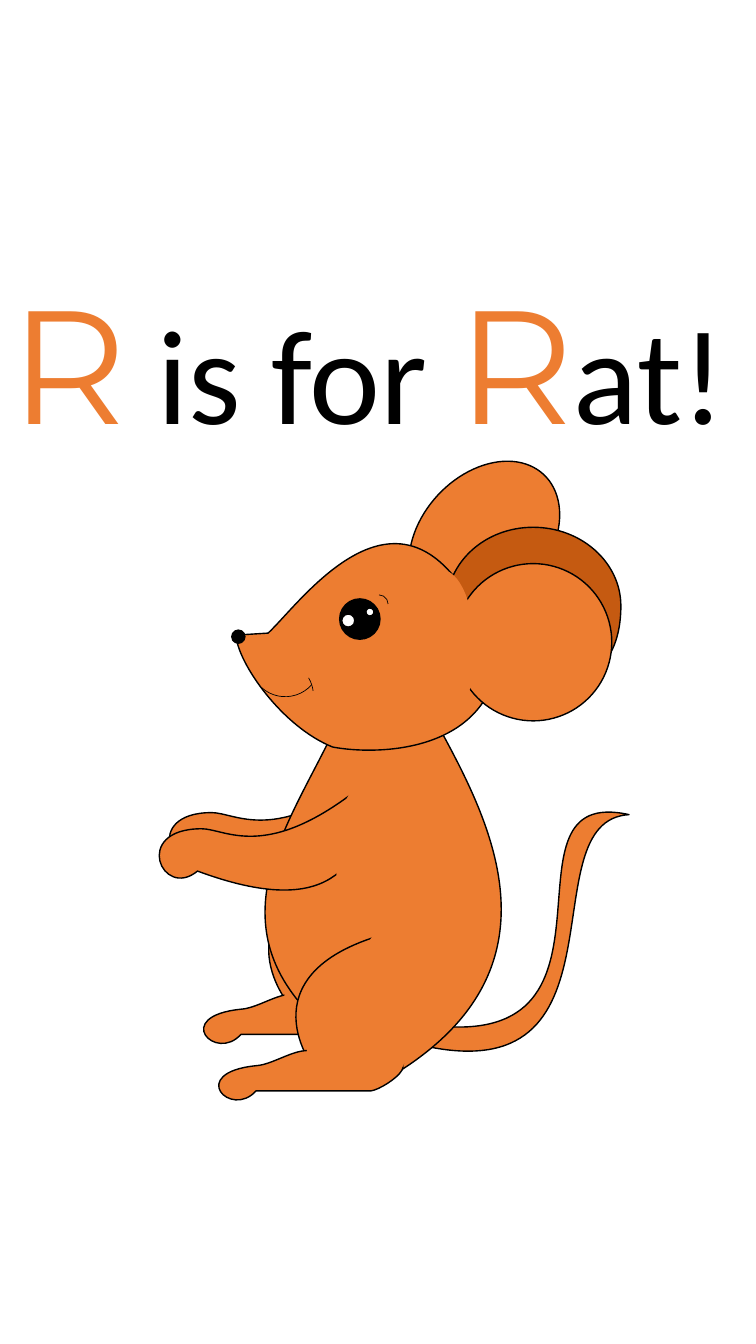
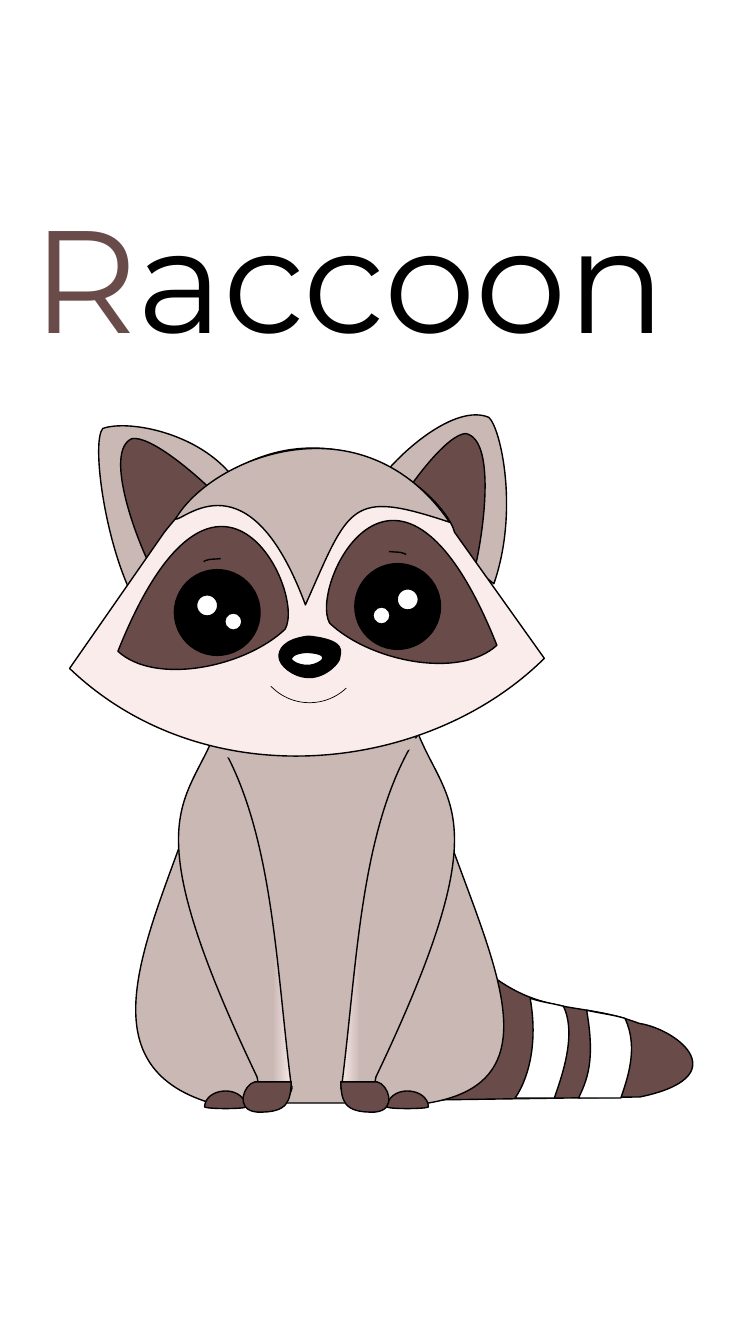
from dataclasses import dataclass, replace
from typing import Optional, Union

from lxml import etree
from pptx import Presentation
from pptx.dml.color import RGBColor
from pptx.enum import shapes, text
from pptx.oxml.ns import qn
from pptx.util import Inches, Pt

ORANGE = RGBColor(0xED, 0x7D, 0x31)
RUST = RGBColor(0xC5, 0x5A, 0x11)
TAUPE = RGBColor(0xCA, 0xB8, 0xB4)
BROWN = RGBColor(0x69, 0x4B, 0x49)
BLUSH = RGBColor(0xFA, 0xEC, 0xEB)
BLACK = RGBColor(0, 0, 0)
WHITE = RGBColor(0xFF, 0xFF, 0xFF)
OVAL, ARC = shapes.MSO_SHAPE.OVAL, shapes.MSO_SHAPE.ARC


@dataclass(frozen=True)
class Path:
    """An outline: a start point, then points (2 numbers) or curves (6)."""
    steps: tuple
    fill: Optional[RGBColor] = None
    line: float = 1
    shade: Optional[int] = None  # angle of a blush edge


@dataclass(frozen=True)
class Round:
    """An ellipse or an arc."""
    box: tuple
    fill: Optional[RGBColor] = None
    line: float = 1
    turn: float = 0
    kind: int = OVAL
    flip: bool = False
    end: Optional[float] = None


@dataclass(frozen=True)
class Word:
    text: str
    color: RGBColor
    font: str
    size: float


Part = Union[Path, Round]


# Geometry
def pairs(step: tuple) -> list:
    return list(zip(step[::2], step[1::2]))


def move(part: Path, dx: float, dy: float) -> Path:
    return replace(part, steps=tuple(
        tuple(n + (dy if i % 2 else dx) for i, n in enumerate(s)) for s in part.steps))


def mirror(part: Part, total: float, dy: float = 0) -> Part:
    """Reflect a part; an x and its image add up to total."""
    if isinstance(part, Round):
        x, y, w, h = part.box
        return replace(part, box=(total - x - w, y + dy, w, h))
    steps = tuple(tuple(n + dy if i % 2 else total - n for i, n in enumerate(s))
                  for s in part.steps)
    return replace(part, steps=steps, shade=None if part.shade is None else 180 - part.shade)


def trace(steps: tuple) -> list:
    """Points along the outline, which give its true extent."""
    pts = [steps[0]]
    for step in steps[1:]:
        ends = [pts[-1], *pairs(step)]
        if len(ends) == 2:
            pts.append(step)
            continue
        for t in (i / 20 for i in range(1, 21)):
            mix = ((1 - t) ** 3, 3 * t * (1 - t) ** 2, 3 * t * t * (1 - t), t ** 3)
            pts.append(tuple(sum(m * n for m, n in zip(mix, axis)) for axis in zip(*ends)))
    return [(Inches(x), Inches(y)) for x, y in pts]


# Drawing
def paint(shape, part: Part) -> None:
    shape.shadow.inherit = False
    if part.fill is None:
        shape.fill.background()
    else:
        shape.fill.solid()
        shape.fill.fore_color.rgb = part.fill
    if part.line:
        shape.line.color.rgb = BLACK
        shape.line.width = Pt(part.line)
    else:
        shape.line.fill.background()


def curve(shape, part: Path) -> None:
    """Give the outline real curves."""
    root = shape.element.find(".//" + qn("a:path"))
    for child in list(root):
        root.remove(child)
    for i, step in enumerate(part.steps):
        tag = "a:moveTo" if i == 0 else "a:lnTo" if len(step) == 2 else "a:cubicBezTo"
        node = etree.SubElement(root, qn(tag))
        for x, y in pairs(step):
            etree.SubElement(node, qn("a:pt"), x=str(Inches(x) - shape.left),
                             y=str(Inches(y) - shape.top))
    if part.fill is not None:
        etree.SubElement(root, qn("a:close"))


def draw_path(group, part: Path) -> None:
    pts = trace(part.steps)
    pen = group.shapes.build_freeform(*pts[0])
    pen.add_line_segments(pts[1:], close=False)
    shape = pen.convert_to_shape()
    curve(shape, part)
    paint(shape, part)
    if part.shade is not None:
        shape.fill.gradient()
        shape.fill.gradient_angle = part.shade
        edge, rest = shape.fill.gradient_stops
        edge.color.rgb, edge.position = BLUSH, 0
        rest.color.rgb, rest.position = part.fill, 0.17


def draw_round(group, part: Round) -> None:
    shape = group.shapes.add_shape(part.kind, *map(Inches, part.box))
    paint(shape, part)
    shape.rotation = part.turn
    if part.flip:
        shape.element.spPr.xfrm.set("flipH", "1")
    if part.end is not None:
        shape.adjustments[1] = part.end


def draw(slide, parts: list) -> None:
    group = slide.shapes.add_group_shape()
    for part in parts:
        (draw_path if isinstance(part, Path) else draw_round)(group, part)


def title(slide, box: tuple, words: list, align) -> None:
    frame = slide.shapes.add_textbox(*map(Inches, box)).text_frame
    frame.word_wrap = True
    frame.auto_size = text.MSO_AUTO_SIZE.SHAPE_TO_FIT_TEXT
    para = frame.paragraphs[0]
    para.alignment = align
    for word in words:
        run = para.add_run()
        run.text = word.text
        run.font.name, run.font.size = word.font, Pt(word.size)
        run.font.color.rgb = word.color


# Rat
ARM = Path(((3.66, 7.66), (3.9, 7.98), (3.59, 8.06, 3.68, 9.08, 2.06, 8.48),
            (1.71, 8.77, 1.4, 8.06, 2.1, 8.06), (2.34, 8.06, 2.73, 8.39, 3.66, 7.66)), ORANGE)
THIGH = Path(((3.53, 8.61), (4.27, 8.61), (3.71, 9.94), (2.89, 9.98),
              (2.83, 9.95, 2.14, 9.01, 3.53, 8.61)), ORANGE)
FOOT = Path(((2.39, 10.01), (2.55, 10, 2.74, 9.86, 2.9, 9.86), (3.5, 10.01),
             (4.22, 9.85, 3.62, 10.29, 3.5, 10.26), (2.39, 10.26),
             (2.14, 10.54, 1.7, 10.08, 2.39, 10.01)), ORANGE)
RAT = [
    # Far limbs
    ARM, THIGH, FOOT, Round((2.98, 9.38, 0.67, 0.99), ORANGE, 0, 270),
    # Tail and body
    Path(((4.29, 10.17), (6.37, 10.42, 4.86, 7.77, 6.24, 8.08),
          (5.22, 8.14, 6.32, 10.88, 4.15, 10.36)), ORANGE),
    Path(((3.41, 7.02), (4.25, 7.02), (4.75, 7.95, 5.72, 9.5, 3.97, 10.62),
          (3.03, 10.01), (2.09, 8.98, 3.05, 7.94, 3.41, 7.02)), ORANGE),
    # Ears and head
    Round((3.94, 4.71, 1.73, 1.26), ORANGE, turn=312.8),
    Path(((4.89, 6.77), (4.87, 6.31, 4.78, 6.15, 4.58, 5.82),
          (3.84, 4.75, 2.97, 5.99, 2.66, 6.28), (2.34, 6.3),
          (2.36, 6.58, 2.8, 7.21, 3.3, 7.41), (3.73, 7.49, 4.64, 7.46, 4.89, 6.77)), ORANGE),
    Path(((4.43, 6.01), (4.43, 5.58, 4.81, 5.23, 5.29, 5.23),
          (5.77, 5.23, 6.16, 5.58, 6.16, 6.01), (6.16, 6.44, 5.97, 6.86, 5.29, 6.79),
          (4.62, 6.71, 4.43, 6.44, 4.43, 6.01)), RUST),
    Round((4.51, 5.59, 1.56, 1.56), ORANGE),
    # Near limbs
    move(THIGH, 0.27, 0.66), move(FOOT, 0.15, 0.56), move(ARM, -0.1, 0.16),
    # Nose and eye
    Round((2.3, 6.25, 0.13, 0.13), BLACK),
    Round((3.37, 5.94, 0.4, 0.4), BLACK),
    Round((3.67, 5.9, 0.18, 0.18), line=0.5, kind=ARC),
    Round((3.39, 6.09, 0.13, 0.13), WHITE),
    Round((3.63, 6.03, 0.08, 0.08), WHITE),
    # Patches that hide the joints
    Round((4.04, 5.65, 0.67, 1.56), ORANGE, 0),
    Round((3.33, 7.72, 0.67, 1.56), ORANGE, 0),
    Path(((3.89, 10.58), (3.59, 10.58, 3.51, 9.93, 3.55, 9.67),
          (3.58, 9.41, 3.79, 9.03, 4.08, 9.03), (4.73, 8.96, 4.65, 9.41, 4.62, 9.67),
          (4.59, 9.93, 4.18, 10.58, 3.89, 10.58)), ORANGE, 0),
    Round((3.2, 9.96, 0.67, 0.99), ORANGE, 0, 270),
    # Smile
    Round((2.48, 6.21, 0.7, 0.7), None, 0.5, 221.8, ARC, True),
    Round((2.41, 6.55, 0.7, 0.7), None, 0.5, 81.9, ARC, True, 175.4),
]

# Raccoon
LEG = Path(((4.19, 7.22), (4.13, 7.23), (4.42, 8, 4.98, 8.06, 3.73, 10.68),
            (3.62, 11.3, 3.33, 10.77, 3.39, 10.77),
            (3.55, 9.53, 3.57, 8.11, 4.19, 7.22)), TAUPE, shade=0)
TOE = Path(((3.84, 10.98), (3.84, 10.89, 3.93, 10.82, 4.04, 10.82),
            (4.16, 10.82, 4.25, 10.89, 4.25, 10.98), (4.21, 11, 3.87, 11, 3.84, 10.98)), BROWN)
PAW = Path(((3.38, 10.73), (3.74, 10.73), (3.85, 10.75, 3.95, 11.01, 3.72, 11.03),
            (3.4, 11.04, 3.39, 10.91, 3.38, 10.73)), BROWN)
GLINT = Path(((2.89, 6.54), (2.89, 6.52, 2.91, 6.48, 3.04, 6.47),
              (3.24, 6.48, 3.2, 6.53, 3.2, 6.54), (3.2, 6.55, 3.13, 6.6, 3.05, 6.6),
              (2.96, 6.6, 2.9, 6.56, 2.89, 6.54)), WHITE)
JOINT = replace(GLINT, fill=TAUPE, line=0)
EYE = [
    Path(((3.27, 6.18), (3.06, 5.8, 3.96, 3.97, 4.93, 6.4),
          (4.56, 6.74, 3.67, 6.56, 3.27, 6.18)), BROWN),
    Round((3.52, 5.59, 0.85, 0.85), BLACK),
    Round((3.7, 6.02, 0.17, 0.17), WHITE),
    Round((3.94, 5.84, 0.21, 0.21), WHITE),
]
BROW = Path(((3.86, 5.47), (3.93, 5.48, 3.96, 5.47, 4.01, 5.49),
             (4.02, 5.49, 4.02, 5.5, 4.03, 5.5)))
RACCOON = [
    # Ears
    Path(((4.85, 4.14), (4.52, 4, 3.95, 4.48, 3.69, 4.86), (4.9, 5.79),
          (5.15, 5.07, 4.97, 4.25, 4.85, 4.14)), TAUPE),
    Path(((1.02, 4.25), (1.27, 4.16, 1.97, 4.29, 2.31, 4.73), (1.29, 5.86),
          (1.03, 5.3, 0.91, 4.38, 1.02, 4.25)), TAUPE),
    # Tail and body
    Path(((4.42, 9.23), (5.22, 10.17, 5.63, 9.88, 6.34, 10.15),
          (6.73, 10.21, 7.31, 10.68, 6.35, 10.88), (4.28, 10.91)), BROWN),
    Path(((2.06, 6.35), (4.07, 6.27), (3.87, 8.23, 6.12, 10.63, 4.25, 10.94),
          (2.09, 10.94), (0.16, 10.36, 2.67, 7.75, 2.06, 6.35)), TAUPE),
    # Front legs
    LEG, mirror(LEG, 6.28), move(JOINT, -0.72, 0.92), move(JOINT, 0.97, 0.84),
    # Inner ears
    Path(((4.62, 4.3), (4.44, 4.31, 4.1, 4.76, 3.94, 5.02), (4.72, 5.6),
          (4.8, 5.25, 4.92, 4.36, 4.62, 4.3)), BROWN),
    Path(((1.31, 4.35), (1.49, 4.32, 1.92, 4.68, 2.14, 4.9), (1.5, 5.63),
          (1.34, 5.32, 1.03, 4.47, 1.31, 4.35)), BROWN),
    # Head and forehead
    Path(((1.63, 5.28), (2.9, 3.66, 4.38, 4.81, 4.51, 5.28), (5.4, 6.53),
          (4.24, 7.68, 2.04, 7.92, 0.69, 6.63)), BLUSH),
    Path(((1.74, 5.15), (2.1, 4.53, 3.6, 3.93, 4.46, 5.18),
          (3.47, 4.85, 3.47, 5.01, 3.03, 6), (2.47, 4.49, 1.82, 5.17, 1.74, 5.15)), TAUPE),
    # Nose and smile
    Path(((2.77, 6.52), (2.76, 6.45, 2.81, 6.34, 3.06, 6.31),
          (3.46, 6.35, 3.37, 6.48, 3.37, 6.52), (3.38, 6.56, 3.24, 6.72, 3.07, 6.72),
          (2.9, 6.72, 2.77, 6.59, 2.77, 6.52)), BLACK),
    GLINT, Round((2.54, 5.91, 1.06, 1.06), None, 0.5, 136.5, ARC),
    # Eyes
    *EYE, BROW, *(mirror(part, 6.1, 0.06) for part in EYE), mirror(BROW, 6.05, 0.07),
    # Tail stripes
    Path(((5.26, 9.9), (5.37, 9.94, 5.48, 9.95, 5.59, 9.98),
          (5.73, 10.27, 5.56, 10.71, 5.5, 10.89), (5.11, 10.89),
          (5.21, 10.75, 5.35, 10.41, 5.26, 9.9)), WHITE),
    Path(((5.82, 10.02), (5.95, 10.05, 6.06, 10.06, 6.2, 10.1),
          (6.34, 10.39, 6.22, 10.71, 6.16, 10.89), (5.74, 10.89),
          (5.82, 10.72, 5.91, 10.53, 5.82, 10.02)), WHITE),
    # Paws
    TOE, mirror(TOE, 6.28), PAW, mirror(PAW, 6.27),
]


def main() -> None:
    deck = Presentation()
    deck.slide_width, deck.slide_height = Inches(7.5), Inches(13.33)
    blank = deck.slide_layouts[6]
    cap = Word("R", ORANGE, "Montserrat", 115)
    rat = deck.slides.add_slide(blank)
    title(rat, (-0.86, 2.56, 9.33, 2.04),
          [cap, Word(" is for ", BLACK, "Calibri", 96),
           cap, Word("at! ", BLACK, "Calibri", 96)], text.PP_ALIGN.CENTER)
    draw(rat, RAT)
    coon = deck.slides.add_slide(blank)
    title(coon, (0.22, 1.81, 7.43, 1.85),
          [Word("R", BROWN, "Montserrat", 104),
           Word("accoon", BLACK, "Montserrat", 104)], text.PP_ALIGN.LEFT)
    draw(coon, RACCOON)
    deck.save("out.pptx")


if __name__ == "__main__":
    main()
